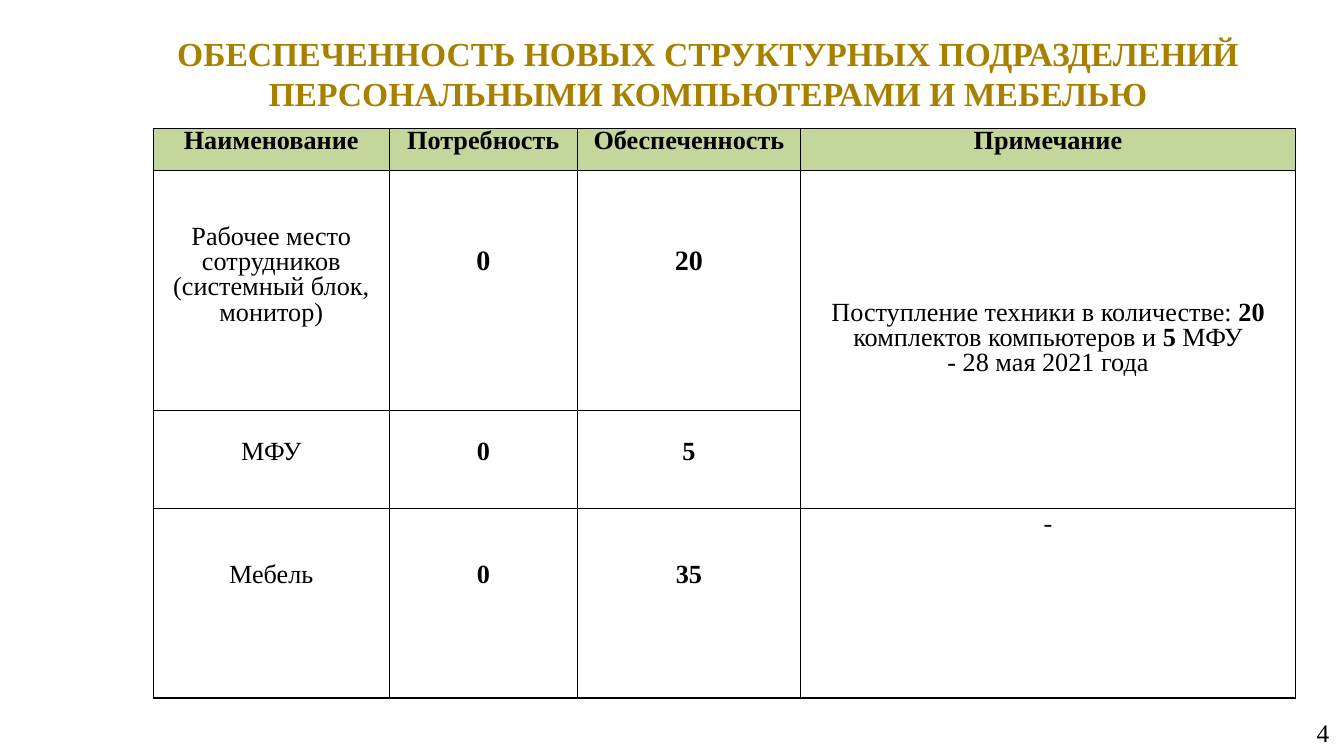
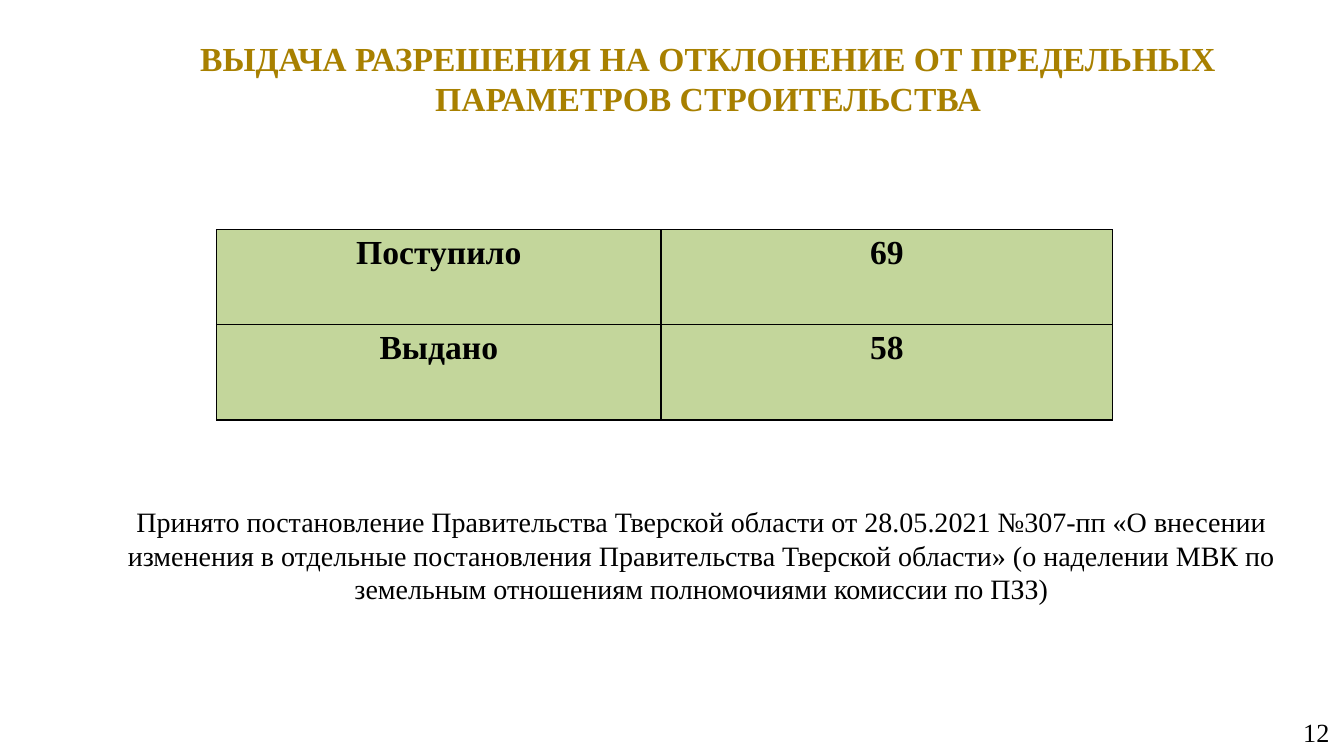
from dataclasses import dataclass

from lxml import etree
from pptx import Presentation
from pptx.dml.color import RGBColor
from pptx.enum.text import MSO_ANCHOR, MSO_AUTO_SIZE, PP_ALIGN
from pptx.oxml.ns import qn
from pptx.util import Pt

CENTER, RIGHT = PP_ALIGN.CENTER, PP_ALIGN.RIGHT
MIDDLE = MSO_ANCHOR.MIDDLE
NO_AUTOFIT = MSO_AUTO_SIZE.NONE
TITLE_ONLY = 5

COLORS = {"title": "A88000", "text": "000000", "border": "000000", "header": "C3D69B"}
FONT = "Times New Roman"
SIDE_INSET = 9.4
BOX_INSET = 4.8
CELL_INSET = 3.6
BODY_LEADING = 18
HEADER_LEADING = 16
TABLE_SIZE = 18.7


@dataclass(frozen=True)
class Box:
    left: float
    top: float
    width: float
    height: float


@dataclass(frozen=True)
class Cell:
    """Text marks bold parts with *; lines_down lowers it by whole lines."""
    text: str
    size: float = TABLE_SIZE
    leading: float | None = BODY_LEADING
    lines_down: int = 0
    fill: str | None = None


@dataclass(frozen=True)
class Grid:
    left: float
    top: float
    columns: tuple[float, ...]
    rows: tuple[float, ...]
    cells: tuple[tuple[Cell, ...], ...]


def style_font(font, size: float, color: str, bold: bool) -> None:
    font.name = FONT
    font.size = Pt(size)
    font.bold = bold
    font.color.rgb = RGBColor.from_string(COLORS[color])


def fill_box(shape, box: Box, text: str, size: float, align: PP_ALIGN,
             color: str = "text", bold: bool = False) -> None:
    shape.left, shape.top = Pt(box.left), Pt(box.top)
    shape.width, shape.height = Pt(box.width), Pt(box.height)
    frame = shape.text_frame
    frame.text = text
    frame.word_wrap = True
    frame.auto_size = NO_AUTOFIT
    frame.vertical_anchor = MIDDLE
    frame.margin_left = frame.margin_right = Pt(SIDE_INSET)
    frame.margin_top = frame.margin_bottom = Pt(BOX_INSET)
    paragraph = frame.paragraphs[0]
    paragraph.alignment = align
    style_font(paragraph.runs[0].font, size, color, bold)


def add_text(slide, box: Box, text: str, size: float, align: PP_ALIGN) -> None:
    shape = slide.shapes.add_textbox(0, 0, 0, 0)
    fill_box(shape, box, text, size, align)


def add_titled_slide(prs, title: str, title_top: float, number: str, number_size: float):
    slide = prs.slides.add_slide(prs.slide_layouts[TITLE_ONLY])
    fill_box(slide.shapes.title, Box(94.3, title_top, 823, 71.3), title, 24,
             CENTER, "title", True)
    add_text(slide, Box(735.8, 509, 223.2, 28.1), number, number_size, RIGHT)
    return slide


def add_borders(cell) -> None:
    properties = cell._tc.get_or_add_tcPr()
    for side in ("lnL", "lnR", "lnT", "lnB"):
        line = etree.SubElement(properties, qn(f"a:{side}"), w=str(Pt(1)))
        solid = etree.SubElement(line, qn("a:solidFill"))
        etree.SubElement(solid, qn("a:srgbClr"), val=COLORS["border"])


def fill_cell(cell, content: Cell) -> None:
    cell.margin_left = cell.margin_right = Pt(SIDE_INSET)
    cell.margin_top = Pt(CELL_INSET + content.lines_down * BODY_LEADING)
    cell.margin_bottom = Pt(CELL_INSET)
    add_borders(cell)
    if content.fill:
        cell.fill.solid()
        cell.fill.fore_color.rgb = RGBColor.from_string(COLORS[content.fill])
    else:
        cell.fill.background()
    frame = cell.text_frame
    for index, line in enumerate(content.text.split("\n")):
        paragraph = frame.add_paragraph() if index else frame.paragraphs[0]
        paragraph.alignment = CENTER
        if content.leading:
            paragraph.line_spacing = Pt(content.leading)
        for part_index, part in enumerate(line.split("*")):
            if part:
                run = paragraph.add_run()
                run.text = part
                style_font(run.font, content.size, "text", part_index % 2 == 1)


def add_grid(slide, grid: Grid):
    table = slide.shapes.add_table(
        len(grid.rows), len(grid.columns), Pt(grid.left), Pt(grid.top),
        Pt(sum(grid.columns)), Pt(sum(grid.rows))).table
    table.first_row = table.horz_banding = False
    for column, width in zip(table.columns, grid.columns):
        column.width = Pt(width)
    for row, height in zip(table.rows, grid.rows):
        row.height = Pt(height)
    for row_index, row_cells in enumerate(grid.cells):
        for column_index, content in enumerate(row_cells):
            fill_cell(table.cell(row_index, column_index), content)
    return table


def header(text: str) -> Cell:
    return Cell(f"*{text}*", leading=HEADER_LEADING, fill="header")


def total(text: str) -> Cell:
    return Cell(f"*{text}*", size=24, leading=None, fill="header")


EQUIPMENT = Grid(
    109.5, 91.5, (168.5, 134.5, 159.3, 353.7), (30.3, 171.4, 69.9, 135.6),
    (
        tuple(map(header, ("Наименование", "Потребность", "Обеспеченность", "Примечание"))),
        (
            Cell("Рабочее место сотрудников\n(системный блок,\nмонитор)", lines_down=2),
            Cell("*0*", size=20, lines_down=3),
            Cell("*20*", size=20, lines_down=3),
            Cell("Поступление техники в количестве: *20* комплектов компьютеров и *5* МФУ\n"
                 "- 28 мая 2021 года", lines_down=5),
        ),
        (Cell("МФУ", lines_down=1), Cell("*0*", lines_down=1),
         Cell("*5*", lines_down=1), Cell("")),
        (Cell("Мебель", lines_down=2), Cell("*0*", lines_down=2),
         Cell("*35*", lines_down=2), Cell("-")),
    ),
)

PERMITS = Grid(
    154.7, 164, (317.5, 322.6), (68, 68),
    ((total("Поступило"), total("69")), (total("Выдано"), total("58"))),
)


def main() -> None:
    prs = Presentation()
    prs.slide_width, prs.slide_height = Pt(960), Pt(540)

    equipment_slide = add_titled_slide(
        prs, "ОБЕСПЕЧЕННОСТЬ НОВЫХ СТРУКТУРНЫХ ПОДРАЗДЕЛЕНИЙ "
        "ПЕРСОНАЛЬНЫМИ КОМПЬЮТЕРАМИ И МЕБЕЛЬЮ", 16.6, "4", 18)
    equipment = add_grid(equipment_slide, EQUIPMENT)
    equipment.cell(1, 3).merge(equipment.cell(2, 3))

    permits_slide = add_titled_slide(
        prs, "ВЫДАЧА РАЗРЕШЕНИЯ НА ОТКЛОНЕНИЕ ОТ ПРЕДЕЛЬНЫХ "
        "ПАРАМЕТРОВ СТРОИТЕЛЬСТВА", 20.2, "12", 18.7)
    add_grid(permits_slide, PERMITS)
    add_text(
        permits_slide, Box(72.7, 358.6, 856.8, 75.6),
        "Принято постановление Правительства Тверской области от 28.05.2021 №307-пп "
        "«О внесении изменения в отдельные постановления Правительства Тверской области» "
        "(о наделении МВК по земельным отношениям полномочиями комиссии по ПЗЗ)", 20, CENTER)

    prs.save("out.pptx")


if __name__ == "__main__":
    main()
